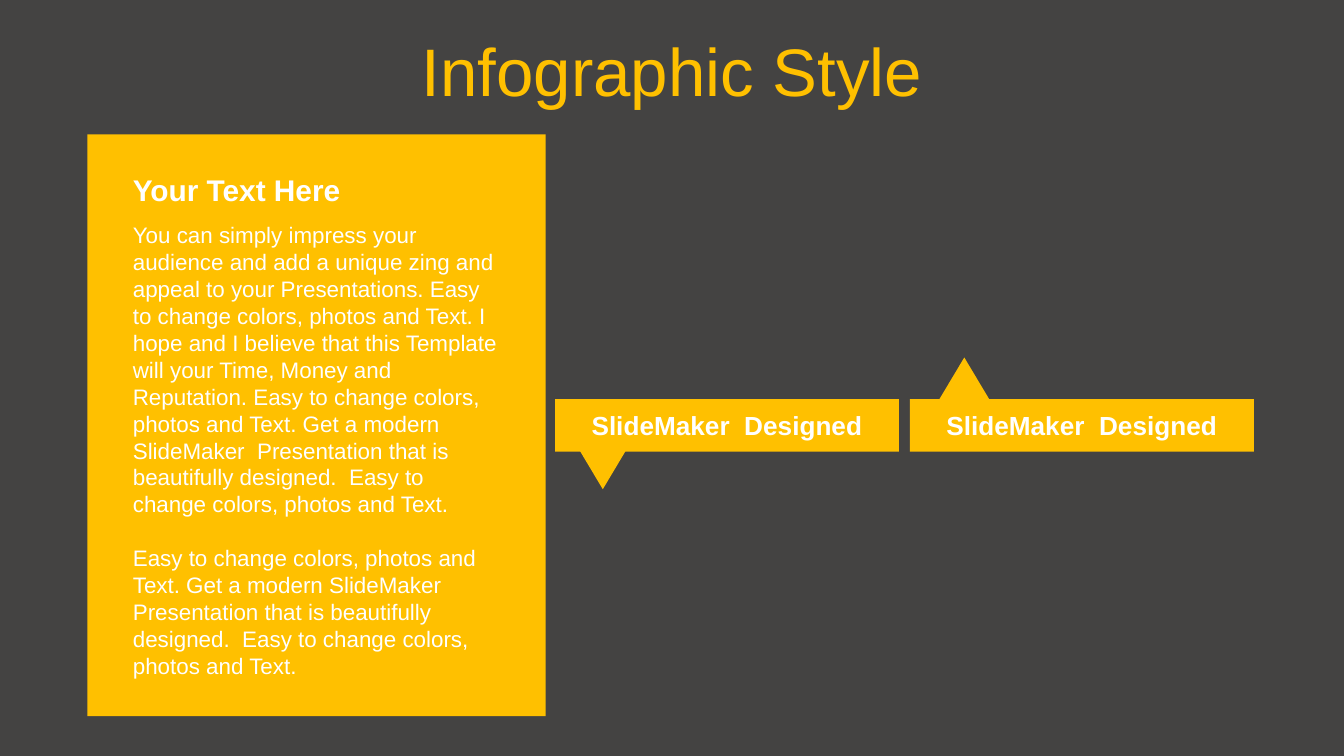
from collections import namedtuple

from pptx import Presentation
from pptx.dml.color import RGBColor
from pptx.enum.shapes import MSO_SHAPE
from pptx.enum.text import MSO_ANCHOR, MSO_AUTO_SIZE, PP_ALIGN
from pptx.util import Inches, Pt

AMBER = RGBColor(0xFF, 0xC0, 0x00)
CHARCOAL = RGBColor(0x44, 0x43, 0x42)
WHITE = RGBColor(0xFF, 0xFF, 0xFF)

WIDTH = 10
HEIGHT = WIDTH * 9 / 16
Box = namedtuple("Box", "left top width height")

TITLE = {"name": "Arial", "size": Pt(36), "bold": False}
HEADING = {"name": "Arial", "size": Pt(16), "bold": True}
BODY = {"name": "Arial", "size": Pt(12), "bold": False}
LABEL = {"name": "Arial", "size": Pt(14), "bold": True}

CLOSING = (
    "Easy to change colors, photos and Text. Get a modern SlideMaker  Presentation "
    "that is beautifully designed.  Easy to change colors, photos and Text."
)
OPENING = (
    "You can simply impress your audience and add a unique zing and appeal to your "
    "Presentations. Easy to change colors, photos and Text. I hope and I believe that "
    "this Template will your Time, Money and Reputation. " + CLOSING
)


def to_emu(box):
    return [Inches(length) for length in box]


def write(frame, paragraphs, font, color, align=PP_ALIGN.LEFT, gap=0):
    frame.word_wrap = True
    frame.auto_size = MSO_AUTO_SIZE.NONE
    for index, text in enumerate(paragraphs):
        para = frame.add_paragraph() if index else frame.paragraphs[0]
        para.alignment = align
        para.space_before = Pt(gap if index else 0)
        span = para.add_run()
        span.text = text
        span.font.color.rgb = color
        for key, value in font.items():
            setattr(span.font, key, value)


def add_text(page, box, paragraphs, font, **layout):
    frame = page.shapes.add_textbox(*to_emu(box)).text_frame
    write(frame, paragraphs, font, WHITE, **layout)


def add_block(page, kind, box):
    block = page.shapes.add_shape(kind, *to_emu(box))
    block.shadow.inherit = False
    block.fill.solid()
    block.fill.fore_color.rgb = AMBER
    block.line.fill.background()
    return block


def add_title(page, box, text):
    title = page.shapes.title
    for key, value in zip(("left", "top", "width", "height"), to_emu(box)):
        setattr(title, key, value)
    title.text_frame.vertical_anchor = MSO_ANCHOR.MIDDLE
    write(title.text_frame, [text], TITLE, AMBER, PP_ALIGN.CENTER)


def add_panel(page, box, heading, paragraphs):
    add_block(page, MSO_SHAPE.RECTANGLE, box)
    left, width = box.left + 0.24, box.width - 0.49
    heading_box = Box(left, box.top + 0.23, width, 0.37)
    body_top = heading_box.top + heading_box.height
    add_text(page, heading_box, [heading], HEADING)
    add_text(page, Box(left, body_top, width, 3.53), paragraphs, BODY, gap=14.4)


def add_callout(page, box, text, points_up):
    tip_width, tip_height = 0.37, 0.31
    add_block(page, MSO_SHAPE.RECTANGLE, box)
    if points_up:
        tip_left, tip_top = box.left + 0.22, box.top - tip_height
    else:
        tip_left, tip_top = box.left + 0.17, box.top + box.height - 0.03
    tip = add_block(
        page, MSO_SHAPE.ISOSCELES_TRIANGLE, Box(tip_left, tip_top, tip_width, tip_height)
    )
    tip.rotation = 0 if points_up else 180
    label_box = Box(box.left + 0.08, box.top + 0.03, box.width - 0.16, 0.34)
    add_text(page, label_box, [text], LABEL, align=PP_ALIGN.CENTER)


def main():
    deck = Presentation()
    deck.slide_width, deck.slide_height = Inches(WIDTH), Inches(HEIGHT)
    page = deck.slides.add_slide(deck.slide_layouts[5])
    page.background.fill.solid()
    page.background.fill.fore_color.rgb = CHARCOAL

    add_title(page, Box(0, 0.2, WIDTH, 0.63), "Infographic Style")
    add_panel(page, Box(0.65, 1, 3.41, 4.33), "Your Text Here", [OPENING, CLOSING])
    for column, points_up in enumerate((False, True)):
        box = Box(4.13 + column * 2.64, 2.97, 2.56, 0.39)
        add_callout(page, box, "SlideMaker  Designed", points_up)

    deck.save("out.pptx")


if __name__ == "__main__":
    main()
